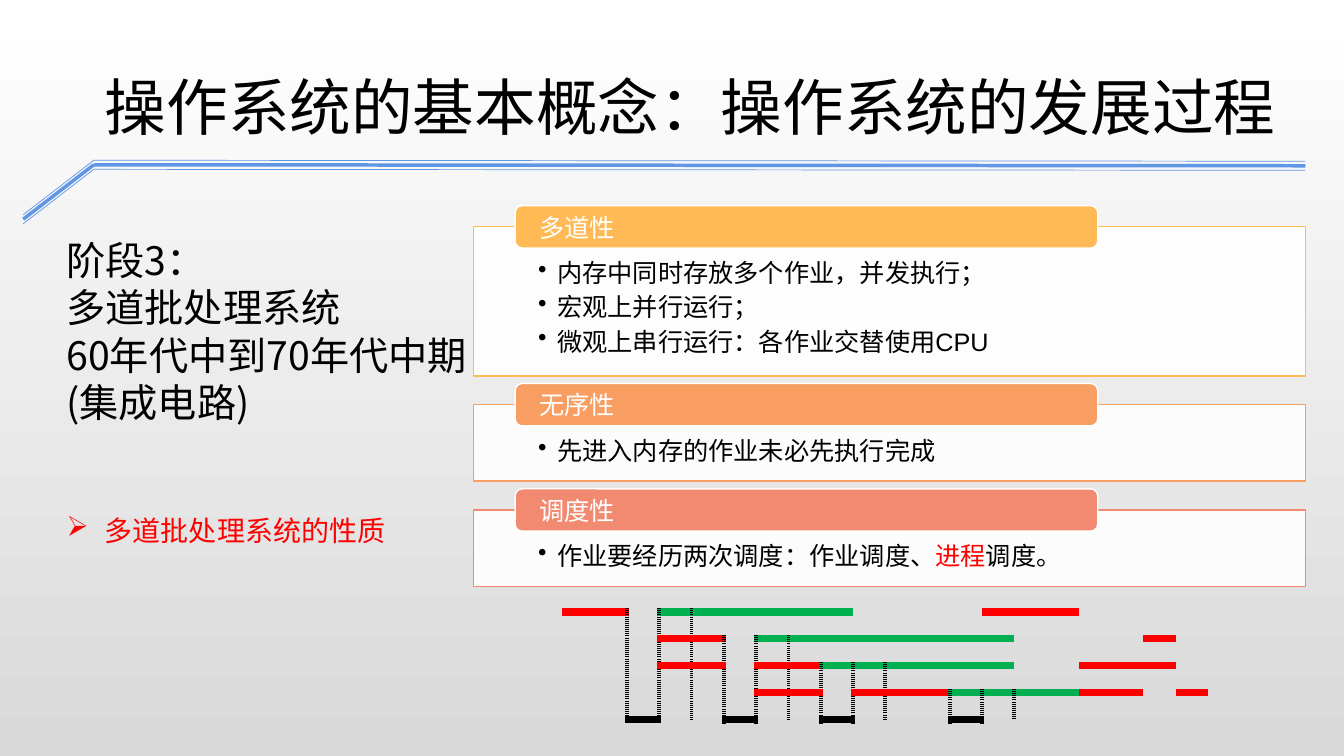
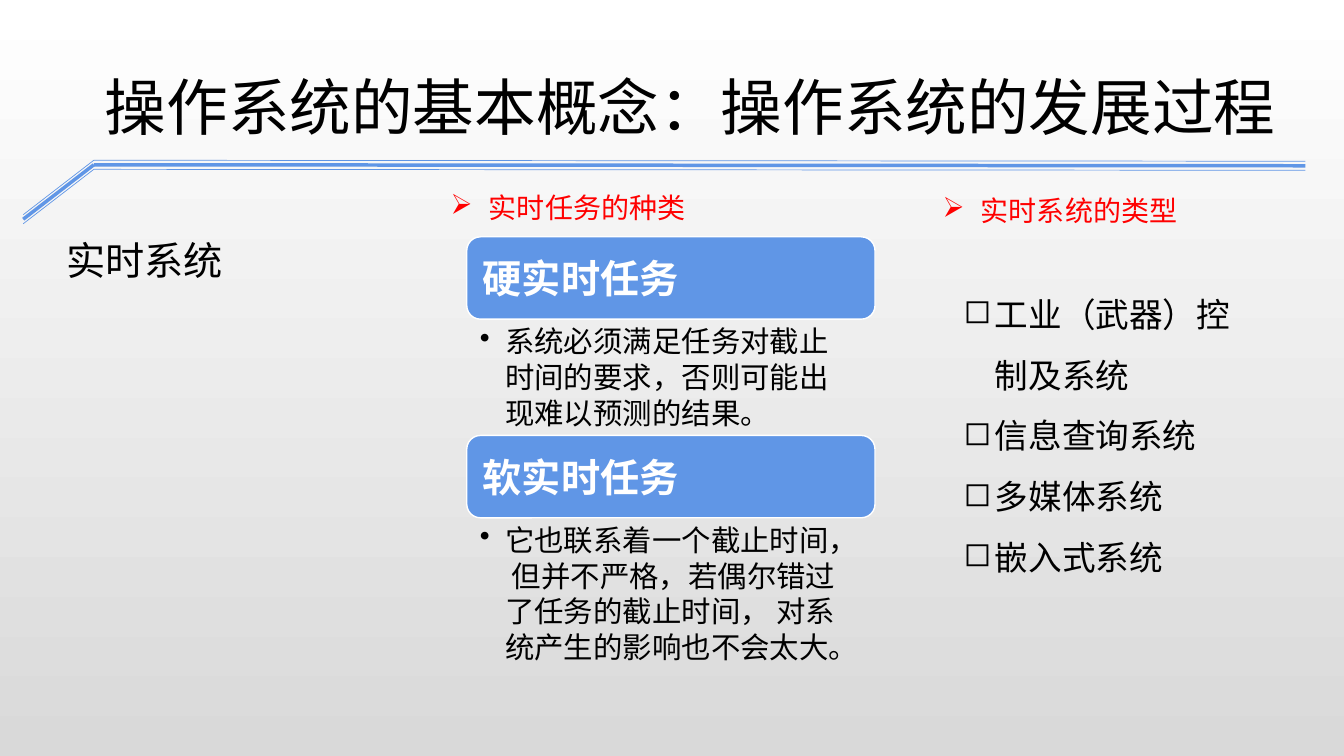
from itertools import pairwise

from lxml.etree import SubElement as Sub
from pptx import Presentation
from pptx.dml.color import RGBColor as Rgb
from pptx.enum.shapes import MSO_CONNECTOR as Conn, MSO_SHAPE as Form
from pptx.enum.text import MSO_ANCHOR as Anchor, MSO_AUTO_SIZE as Auto, PP_ALIGN as Align
from pptx.oxml.ns import qn
from pptx.util import Emu, Inches, Pt

HUES = {
    "black": "000000", "white": "FFFFFF", "grey": "D9D9D9", "blue": "6096E6",
    "red": "FF0000", "green": "00B050", "amber": "FFBA55", "orange": "F89E63",
    "coral": "F18A71",
}
NOTO, ARIAL = "Noto Sans CJK JP", "Arial"
TITLE = "操作系统的基本概念：操作系统的发展过程"
PLAIN = "{2D5ABB26-0587-4C30-8999-92F81FD0307C}"


def hue(name):
    """Return the named colour."""
    return Rgb.from_string(HUES[name])


class Deck:
    """Hold the style and the current slide; lengths are percent of slide size."""

    def __init__(self):
        """Open a wide deck."""
        self.prs = Presentation()
        self.prs.slide_width, self.prs.slide_height = Inches(13.33), Inches(7.5)
        self.slide = None

    def x(self, share):
        """Turn a share of the width into a length."""
        return Emu(round(self.prs.slide_width * share / 100))

    def y(self, share):
        """Turn a share of the height into a length."""
        return Emu(round(self.prs.slide_height * share / 100))

    def box(self, left, top, wide, high):
        """Turn four shares into a frame."""
        return self.x(left), self.y(top), self.x(wide), self.y(high)

    def page(self):
        """Start a slide with backdrop, rails and title."""
        self.slide = self.prs.slides.add_slide(self.prs.slide_layouts[6])
        fill = self.slide.background.fill
        fill.gradient()
        fill.gradient_angle = 270
        for stop, name in zip(fill.gradient_stops, ("white", "grey")):
            stop.color.rgb = hue(name)
        for row, width in enumerate((0.5, 2.5, 0.5)):
            drop = row * 0.6
            bends = (1.73, 28.4 + drop), (6.98, 21.2 + drop), (97.13, 21.33 + drop)
            for start, end in pairwise(bends):
                self.line(start, end, width)
        self.text((7.05, 8.4, 92.4, 11.2), [TITLE], 44)

    def line(self, start, end, width):
        """Draw a straight blue line."""
        line = self.slide.shapes.add_connector(
            Conn.STRAIGHT, self.x(start[0]), self.y(start[1]), self.x(end[0]), self.y(end[1]))
        line.line.color.rgb = hue("blue")
        line.line.width = Pt(width)
        Sub(line.element.spPr, qn("a:effectLst"))

    def label(self, shape, paras, size, font=ARIAL, color="black", bold=False,
              mark=None, dent=0, lead=1.21, after=0, pad=(0.75, 0.67, 0.75, 0.67),
              anchor=Anchor.TOP):
        """Fill a shape with paragraphs; parts between bars turn red."""
        frame = shape.text_frame
        frame.word_wrap = True
        frame.vertical_anchor = anchor
        frame.margin_left, frame.margin_top, frame.margin_right, frame.margin_bottom = self.box(*pad)
        frame.text = "\n".join(paras)
        for para in frame.paragraphs:
            para.alignment = Align.LEFT
            para.line_spacing = Pt(round(size * lead, 1))
            para.space_after = Pt(after)
            if mark:
                props = para._p.get_or_add_pPr()
                props.set("marL", str(self.x(dent)))
                props.set("indent", str(-self.x(dent)))
                Sub(props, qn("a:buChar"), char=mark)
            first, *rest = para.text.split("|")
            para.runs[0].text = first
            for part in rest:
                para.add_run().text = part
            for spot, run in enumerate(para.runs):
                run.font.size, run.font.bold = Pt(size), bold
                run.font.color.rgb = hue("red" if spot % 2 else color)
                run.font.name = font
                Sub(run._r.get_or_add_rPr(), qn("a:ea"), typeface=NOTO)

    def text(self, box, paras, size, font=NOTO, grow=True, **style):
        """Add a text box."""
        shape = self.slide.shapes.add_textbox(*self.box(*box))
        self.label(shape, paras, size, font, **style)
        if grow:
            shape.text_frame.auto_size = Auto.SHAPE_TO_FIT_TEXT

    def shape(self, form, box, fill, edge):
        """Add a filled shape with a thin edge."""
        shape = self.slide.shapes.add_shape(form, *self.box(*box))
        shape.shadow.inherit = False
        shape.fill.solid()
        shape.fill.fore_color.rgb = hue(fill)
        shape.line.color.rgb = hue(edge)
        shape.line.width = Pt(1)
        return shape

    def topic(self, left, top, text):
        """Add a red topic line with an arrow mark."""
        self.text((left, top, 26.85, 5.87), [text], 20, color="red", mark="➢", dent=2.85)

    def panel(self, top, high, color, head, items):
        """Add a framed list with a tab on its upper edge."""
        body = self.shape(Form.RECTANGLE, (35.25, top, 61.9, high), "white", color)
        tone = body.element.spPr.find(qn("a:solidFill"))[0]
        Sub(tone, qn("a:alpha"), val="90000")
        self.label(body, items, 18, mark="•", dent=1.42, after=2.7, pad=(4.8, 4, 4.8, 1.87))
        tab = self.shape(Form.ROUNDED_RECTANGLE, (38.33, top - 2.8, 43.35, 5.6), color, "white")
        self.label(tab, [head], 18, color="white", pad=(1.65, 0, 1.65, 0), anchor=Anchor.MIDDLE)

    def card(self, top, high, head, body):
        """Add a blue heading with a bullet under it."""
        left, wide, cap = 34.73, 30.38, 10.9
        bar = self.shape(Form.ROUNDED_RECTANGLE, (left, top, wide, cap), "blue", "white")
        self.label(bar, [head], 28, color="white", bold=True, pad=(0.9, 1.6, 0.9, 1.6),
                   anchor=Anchor.MIDDLE)
        self.text((left, top + cap, wide, high), [body], 21, ARIAL, False,
                  mark="•", dent=1.88, pad=(0.98, 0.53, 1.65, 0.53))

    def chart(self, box, cols, bars, gaps):
        """Draw a timeline as the borders of an empty table."""
        rows = len(gaps)
        left, top, wide, high = self.box(*box)
        table = self.slide.shapes.add_table(rows, cols, left, top, wide, high).table
        table.first_row = table.horz_banding = False
        table._tbl.tblPr.find(qn("a:tableStyleId")).text = PLAIN
        for col in table.columns:
            col.width = Emu(wide // cols)
        for row in table.rows:
            row.height = Emu(high // rows)
        tones = {(row, col): color for row, start, end, color in bars for col in range(start, end)}
        tones |= {(rows, start): "black" for start, _ in gaps}
        walls = {(row, col) for first, pair in enumerate(gaps)
                 for col in pair for row in range(first, rows)}
        for row in range(rows):
            for col in range(cols):
                cell = table.cell(row, col)
                cell.margin_left = cell.margin_right = cell.margin_top = cell.margin_bottom = 0
                Sub(cell.text_frame.paragraphs[0]._p, qn("a:endParaRPr"), sz="600")
                for side, spot in (("L", (row, col)), ("R", (row, col + 1))):
                    if spot in walls:
                        self.edge(cell, side, "black", 3, "sysDot")
                for side, spot in (("T", (row, col)), ("B", (row + 1, col))):
                    if spot in tones:
                        self.edge(cell, side, tones[spot], 6, "solid")
                cell.fill.background()

    def edge(self, cell, side, color, width, dash):
        """Set one border of a cell."""
        line = Sub(cell._tc.get_or_add_tcPr(), qn("a:ln" + side), w=str(Pt(width)))
        Sub(Sub(line, qn("a:solidFill")), qn("a:srgbClr"), val=HUES[color])
        Sub(line, qn("a:prstDash"), val=dash)


def batch(deck):
    """Build the slide on batch systems."""
    deck.page()
    deck.text((4.2, 30.53, 31.43, 26.4),
              ["阶段3：", "多道批处理系统", "60年代中到70年代中期(集成电路)"], 28)
    top = 30
    for high, color, head, items in (
        (19.73, "amber", "多道性", ["内存中同时存放多个作业，并发执行；", "宏观上并行运行；",
                                 "微观上串行运行：各作业交替使用CPU"]),
        (10.13, "orange", "无序性", ["先进入内存的作业未必先执行完成"]),
        (10.13, "coral", "调度性", ["作业要经历两次调度：作业调度、|进程|调度。"]),
    ):
        deck.panel(top, high, color, head, items)
        top += high + 3.8
    bars = [
        (0, 0, 2, "red"), (0, 3, 9, "green"), (0, 13, 16, "red"),
        (1, 3, 5, "red"), (1, 6, 14, "green"), (1, 18, 19, "red"),
        (2, 6, 8, "red"), (2, 9, 13, "green"), (2, 16, 18, "red"),
        (3, 9, 12, "red"), (3, 13, 16, "green"), (3, 19, 20, "red"),
    ]
    deck.chart((41.85, 80.93, 48.08, 14.27), 20, bars, [(2, 3), (5, 6), (8, 9), (12, 13)])
    deck.topic(4.2, 67.2, "多道批处理系统的性质")


def real(deck):
    """Build the slide on real-time systems."""
    deck.page()
    deck.text((4.2, 30.53, 31.43, 7.6), ["实时系统"], 28)
    deck.topic(32.78, 24.53, "实时任务的种类")
    deck.card(31.33, 15.33, "硬实时任务",
              "系统必须满足任务对截止时间的要求，否则可能出现难以预测的结果。")
    deck.card(57.6, 20, "软实时任务",
              "它也联系着一个截止时间， 但并不严格，若偶尔错过了任务的截止时间， 对系统产生的影响也不会太大。")
    deck.text((70.95, 35.47, 23.7, 41.73),
              ["工业（武器）控制及系统", "信息查询系统", "多媒体系统", "嵌入式系统"],
              24, ARIAL, mark="◻", dent=2.33, lead=1.81)
    deck.topic(69.38, 24.93, "实时系统的类型")


def main():
    """Build and save the deck."""
    deck = Deck()
    batch(deck)
    real(deck)
    deck.prs.save("out.pptx")


if __name__ == "__main__":
    main()
